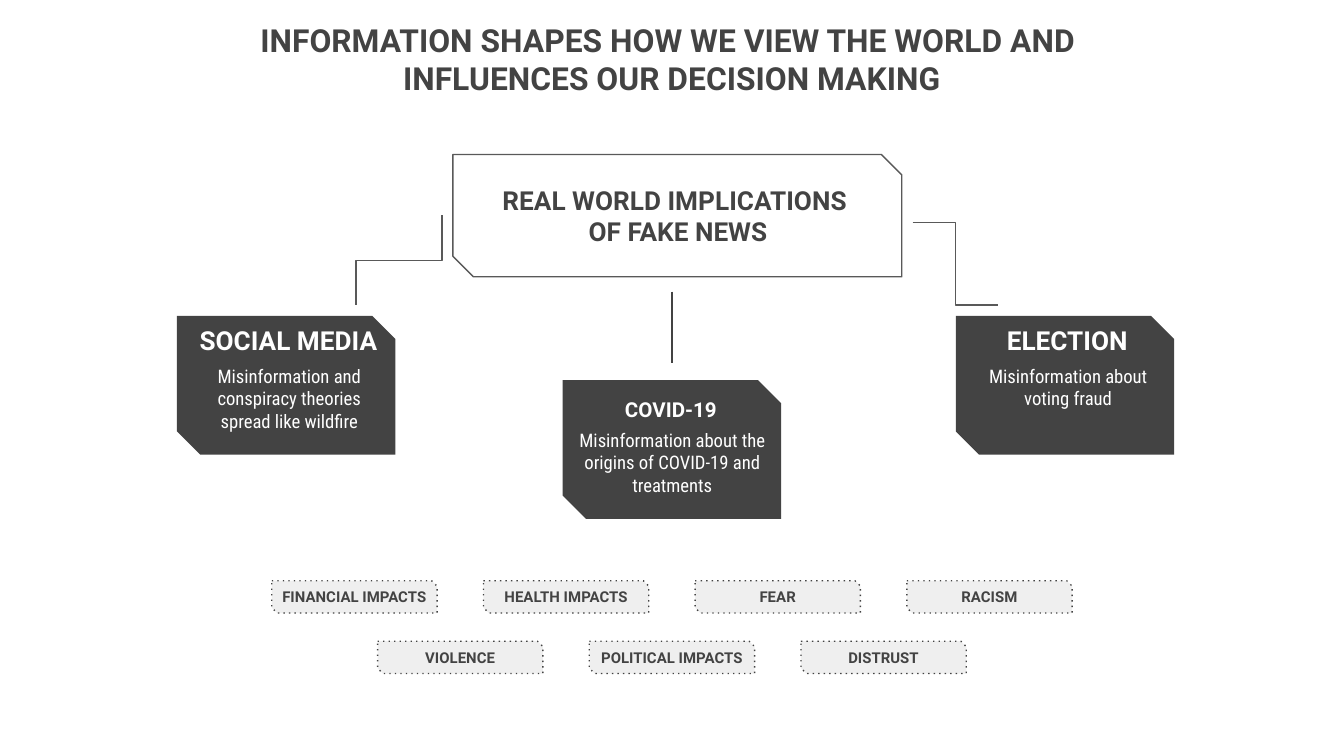
"""Build the slide on the real world implications of fake news."""
from pptx import Presentation
from pptx.dml.color import RGBColor
from pptx.enum.dml import MSO_LINE
from pptx.enum.shapes import MSO_CONNECTOR as CONNECTOR, MSO_SHAPE
from pptx.enum.text import MSO_ANCHOR as ANCHOR, PP_ALIGN
from pptx.oxml.ns import qn
from pptx.oxml.xmlchemy import OxmlElement
from pptx.util import Inches, Pt

DARK = RGBColor(0x43, 0x43, 0x43)
GREY = RGBColor(0x59, 0x59, 0x59)
LIGHT = RGBColor(0xEF, 0xEF, 0xEF)
WHITE = RGBColor(0xFF, 0xFF, 0xFF)

HEADING = {"name": "Roboto", "bold": True}
BODY = {"name": "Roboto Condensed", "bold": False}

presentation = Presentation()
presentation.slide_width = Inches(10)
presentation.slide_height = presentation.slide_width * 9 // 16
slide = presentation.slides.add_slide(presentation.slide_layouts[6])
shapes = slide.shapes
column = presentation.slide_width / 100
row = presentation.slide_height / 100


def add_snipped(left, top, width, height, fill=None, line=None):
    shape = shapes.add_shape(
        MSO_SHAPE.SNIP_2_DIAG_RECTANGLE,
        round(left * column), round(top * row), round(width * column), round(height * row),
    )
    shape.shadow.inherit = False
    shape.adjustments[0], shape.adjustments[1] = 0, 0.167
    if fill is None:
        shape.fill.background()
    else:
        shape.fill.solid()
        shape.fill.fore_color.rgb = fill
    if line is None:
        shape.line.fill.background()
    else:
        shape.line.color.rgb = line
        shape.line.width = Pt(0.75)
    return shape


def write(place, lines, font, size, color, anchor=ANCHOR.TOP, side=Inches(0.1)):
    if isinstance(place, tuple):
        left, top, width, height = place
        place = shapes.add_textbox(
            round(left * column), round(top * row), round(width * column), round(height * row)
        )
    frame = place.text_frame
    settings = {
        "word_wrap": True, "vertical_anchor": anchor,
        "margin_left": side, "margin_right": side,
        "margin_top": Inches(0.1), "margin_bottom": Inches(0.1),
    }
    for name, value in settings.items():
        setattr(frame, name, value)
    frame.text = "\n".join(lines)
    for paragraph in frame.paragraphs:
        paragraph.alignment = PP_ALIGN.CENTER
        for name, value in {**font, "size": Pt(size)}.items():
            setattr(paragraph.font, name, value)
        paragraph.font.color.rgb = color


write(
    (8.65, 1, 82.7, 18.31),
    ["INFORMATION SHAPES HOW WE VIEW THE WORLD AND ", "INFLUENCES OUR DECISION MAKING"],
    HEADING, 17, DARK,
)

add_snipped(33.7, 20.44, 33.4, 16.18, line=GREY)
write(
    (34.75, 20.55, 31.4, 16),
    ["REAL WORLD IMPLICATIONS ", "OF FAKE NEWS"],
    HEADING, 14, DARK, ANCHOR.MIDDLE,
)

connectors = [
    (CONNECTOR.CURVE, 47.35, 43.29, 52.65, 43.29, 90, DARK),
    (CONNECTOR.ELBOW, 26.34, 28.75, 33.04, 40.13, 90, GREY),
    (CONNECTOR.ELBOW, 67.9, 29.46, 74.25, 40.36, 0, GREY),
]
for kind, start_x, start_y, end_x, end_y, degrees, color in connectors:
    connector = shapes.add_connector(
        kind, round(start_x * column), round(start_y * row),
        round(end_x * column), round(end_y * row),
    )
    connector.line.color.rgb = color
    connector.line.width = Pt(0.75)
    properties = connector.element.spPr
    properties.append(OxmlElement("a:effectLst"))
    if degrees:
        properties.find(qn("a:xfrm")).set("rot", str(degrees * 60000))

card_width, card_height = 16.25, 18.36
cards = [
    (13.17, 41.78, "SOCIAL MEDIA", 14, 0.5, 15.6, 1.3, 14.1,
     "Misinformation and conspiracy theories spread like wildfire"),
    (71.12, 41.78, "ELECTION", 14, 0.5, 15.6, 1.3, 14.1, "Misinformation about voting fraud"),
    (41.87, 50.27, "COVID-19", 11, -0.1, 16.3, 0, 16.3,
     "Misinformation about the origins of COVID-19 and treatments"),
]
for left, top, heading, size, heading_inset, heading_width, body_inset, body_width, body in cards:
    add_snipped(left, top, card_width, card_height, fill=DARK)
    write((left + heading_inset, top - 0.53, heading_width, 7.64), [heading],
          HEADING, size, WHITE, ANCHOR.BOTTOM)
    write((left + body_inset, top + 4.65, body_width, 12.09), [body], BODY, 10, WHITE)

impact_width, impact_pitch = 12.3, 15.75
impact_rows = [
    ["FINANCIAL IMPACTS", "HEALTH IMPACTS", "FEAR", "RACISM"],
    ["VIOLENCE", "POLITICAL IMPACTS", "DISTRUST"],
]
for row_number, impacts in enumerate(impact_rows):
    first_left = 50 - ((len(impacts) - 1) * impact_pitch + impact_width) / 2
    for number, impact in enumerate(impacts):
        tag = add_snipped(first_left + number * impact_pitch, 76.83 + row_number * 8,
                          impact_width, 4.27, fill=LIGHT, line=DARK)
        tag.line.dash_style = MSO_LINE.ROUND_DOT
        tag.element.spPr.find(".//" + qn("a:prstDash")).set("val", "dot")
        write(tag, [impact], HEADING, 8, DARK, ANCHOR.MIDDLE, side=0)

presentation.save("out.pptx")
